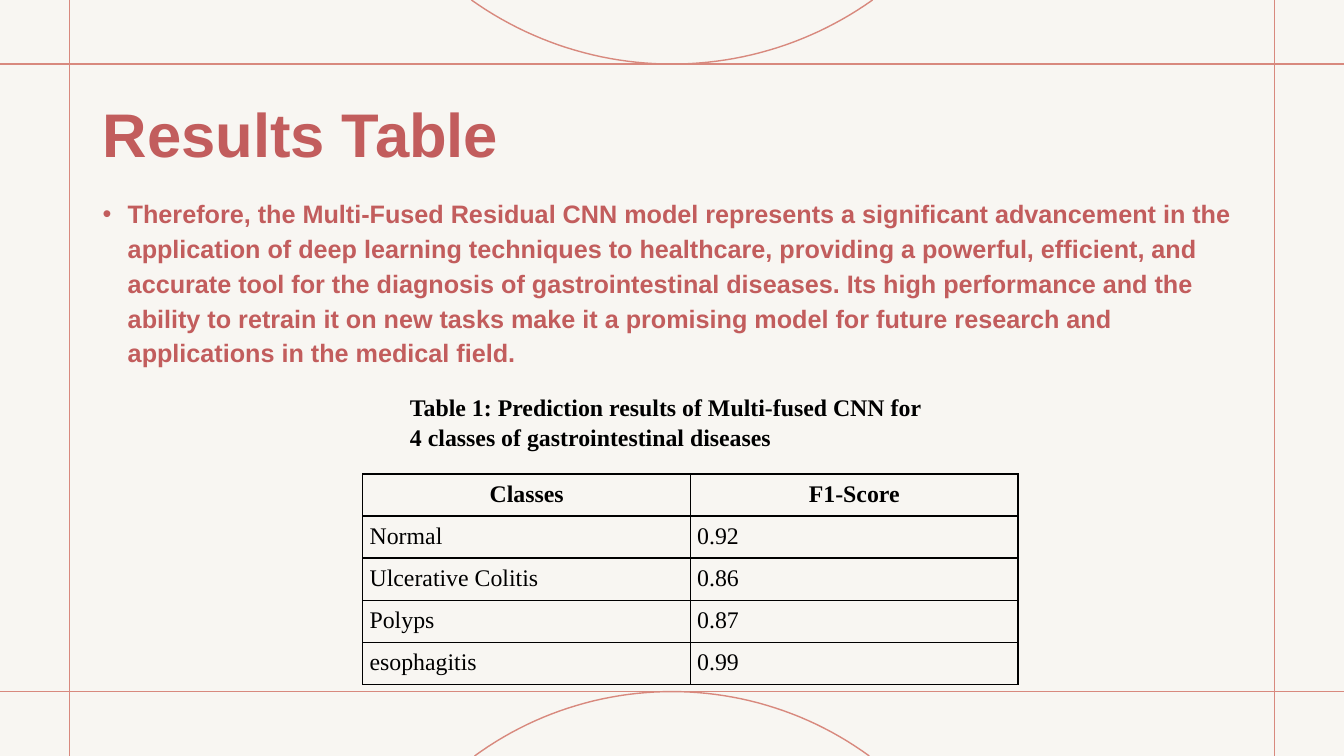
from math import asin, cos, sin

from lxml import etree
from pptx import Presentation
from pptx.dml.color import RGBColor
from pptx.enum.shapes import MSO_CONNECTOR
from pptx.enum.text import MSO_ANCHOR, PP_ALIGN
from pptx.oxml.ns import qn
from pptx.util import Pt

STRAIGHT = MSO_CONNECTOR.STRAIGHT
TOP, MIDDLE = MSO_ANCHOR.TOP, MSO_ANCHOR.MIDDLE
LEFT, CENTER = PP_ALIGN.LEFT, PP_ALIGN.CENTER
CREAM = RGBColor(0xF8, 0xF6, 0xF2)
ROSE = RGBColor(0xD8, 0x89, 0x7E)
RED = RGBColor(0xC2, 0x5D, 0x5D)
BLACK = RGBColor(0, 0, 0)
WIDTH, HEIGHT = 960, 540
SANS, SERIF = "Arial", "Times New Roman"

BODY = (
    "Therefore, the Multi-Fused Residual CNN model represents a significant "
    "advancement in the application of deep learning techniques to healthcare, "
    "providing a powerful, efficient, and accurate tool for the diagnosis of "
    "gastrointestinal diseases. Its high performance and the ability to retrain "
    "it on new tasks make it a promising model for future research and "
    "applications in the medical field."
)
CAPTION = (
    "Table 1: Prediction results of Multi-fused CNN for "
    "4 classes of gastrointestinal diseases"
)
SCORES = [
    ("Classes", "F1-Score"),
    ("Normal", "0.92"),
    ("Ulcerative Colitis", "0.86"),
    ("Polyps", "0.87"),
    ("esophagitis", "0.99"),
]


def style(p, font, size, color, bold):
    p.font.name = font
    p.font.size = Pt(size)
    p.font.color.rgb = color
    p.font.bold = bold


def add_text(s, box, text, font, size, color, anchor=TOP):
    tf = s.shapes.add_textbox(*map(Pt, box)).text_frame
    tf.word_wrap = True
    tf.vertical_anchor = anchor
    p = tf.paragraphs[0]
    p.text = text
    style(p, font, size, color, True)
    return p


def add_rule(s, x1, y1, x2, y2):
    rule = s.shapes.add_connector(STRAIGHT, Pt(x1), Pt(y1), Pt(x2), Pt(y2))
    rule.line.color.rgb = ROSE
    rule.line.width = Pt(1)
    etree.SubElement(rule._element.spPr, qn("a:effectLst"))


def add_arc(s, center, edge, tip, half_width):
    depth = abs(tip - edge)
    radius = (half_width**2 + depth**2) / (2 * depth)
    sign = 1 if tip > edge else -1
    limit = asin(half_width / radius)
    steps = 48
    angles = [limit * (2 * i / steps - 1) for i in range(steps + 1)]
    points = [
        (Pt(center + radius * sin(a)), Pt(tip - sign * radius * (1 - cos(a))))
        for a in angles
    ]
    builder = s.shapes.build_freeform(*points[0])
    builder.add_line_segments(points[1:], close=False)
    arc = builder.convert_to_shape()
    arc.shadow.inherit = False
    arc.fill.background()
    arc.line.color.rgb = ROSE
    arc.line.width = Pt(1)


def add_frame(s, left, top, right, bottom):
    s.background.fill.solid()
    s.background.fill.fore_color.rgb = CREAM
    for y in (bottom, top):
        add_rule(s, 0, y, WIDTH, y)
    for x in (right, left):
        add_rule(s, x, 0, x, HEIGHT)
    add_arc(s, WIDTH / 2, 0, top, 143.3)
    add_arc(s, WIDTH / 2, HEIGHT, bottom, 141)


def add_body(s, box):
    p = add_text(s, box, BODY, SANS, 18, RED)
    p.line_spacing = 1.15
    p.space_before = Pt(10)
    pPr = p._p.get_or_add_pPr()
    pPr.set("marL", str(Pt(18)))
    pPr.set("indent", str(-Pt(18)))
    bullet_font = etree.Element(qn("a:buFont"), typeface=SANS)
    bullet = etree.Element(qn("a:buChar"), char="•")
    spacing = pPr.find(qn("a:spcBef"))
    spacing.addnext(bullet_font)
    bullet_font.addnext(bullet)


def add_borders(cell):
    tcPr = cell._tc.get_or_add_tcPr()
    for i, side in enumerate(("lnL", "lnR", "lnT", "lnB")):
        ln = etree.Element(qn(f"a:{side}"), w=str(Pt(1)))
        fill = etree.SubElement(ln, qn("a:solidFill"))
        etree.SubElement(fill, qn("a:srgbClr"), val=str(BLACK))
        tcPr.insert(i, ln)


def add_scores(s, box):
    frame = s.shapes.add_table(len(SCORES), len(SCORES[0]), *map(Pt, box))
    table = frame.table
    table.first_row = table.horz_banding = False
    for i, row in enumerate(SCORES):
        for j, text in enumerate(row):
            cell = table.cell(i, j)
            cell.fill.background()
            cell.margin_left = cell.margin_right = Pt(4.8)
            cell.margin_top = cell.margin_bottom = Pt(4.8)
            p = cell.text_frame.paragraphs[0]
            p.text = text
            p.alignment = CENTER if i == 0 else LEFT
            style(p, SERIF, 17, BLACK, i == 0)
            add_borders(cell)


def build_results(s, left, top, width):
    add_text(s, (left, top, width, 74), "Results Table", SANS, 44, RED, MIDDLE)
    add_body(s, (left, top + 77.5, width, 352))
    add_scores(s, (left + 193, top + 281, 468, 145))
    caption = (left + 219.6, top + 218.5, 388, 60)
    add_text(s, caption, CAPTION, SERIF, 17, BLACK).line_spacing = 1.05


def main():
    prs = Presentation()
    prs.slide_width, prs.slide_height = Pt(WIDTH), Pt(HEIGHT)
    s = prs.slides.add_slide(prs.slide_layouts[6])
    add_frame(s, 49.8, 45.8, 910.5, 494)
    build_results(s, 66.2, 57.6, 828)
    prs.save("out.pptx")


if __name__ == "__main__":
    main()
